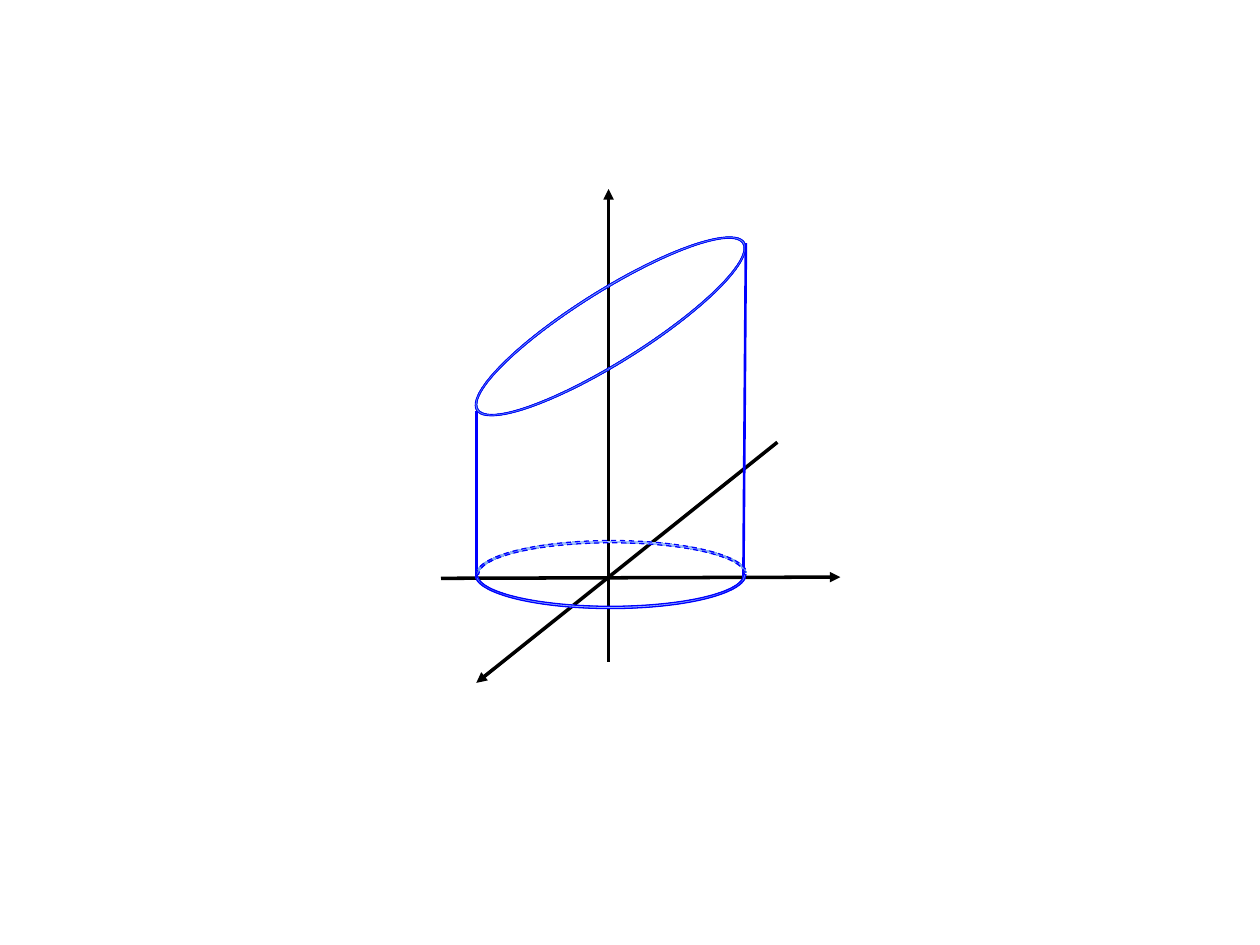
from dataclasses import dataclass

from lxml.etree import SubElement
from pptx import Presentation
from pptx.dml.color import RGBColor
from pptx.enum.dml import MSO_LINE
from pptx.enum.shapes import MSO_CONNECTOR, MSO_SHAPE
from pptx.oxml.ns import qn
from pptx.util import Inches, Pt

COLUMNS, ROWS = 1000, 750
COLORS = {
    "axis": "000000",
    "outline": "0000FF",
    "band_dark": "3F80CE",
    "band_light": "A4C4FF",
}

ORIGIN_X, ORIGIN_Y = 483, 459
LEFT_X, RIGHT_X = 378, 592
BASE_TOP, BASE_WIDTH, BASE_HEIGHT = 429, 215, 54
HALF_RING = (108, 215.363, 0.034)


@dataclass(frozen=True)
class Segment:
    start: tuple[int, int]
    end: tuple[int, int]
    color: str
    weight: float
    arrow: bool = False


@dataclass(frozen=True)
class Ring:
    preset: MSO_SHAPE
    left: int
    top: int
    width: int
    height: int
    adjustments: tuple[float, ...]
    weight: float
    rotation: float = 0
    dashed: bool = False


AXES = (
    Segment((ORIGIN_X, 525), (ORIGIN_X, 150), "axis", 2, True),
    Segment((350, ORIGIN_Y), (667, ORIGIN_Y - 1), "axis", 2, True),
    Segment((617, 351), (LEFT_X, 542), "axis", 2, True),
)
TILTED_TOP = Ring(MSO_SHAPE.DONUT, 359, 230, 251, 58, (0.027,), 0.5, rotation=327.9)
WALLS = (
    Segment((RIGHT_X, 193), (RIGHT_X - 2, ORIGIN_Y + 1), "outline", 1.5),
    Segment((LEFT_X, 326), (LEFT_X, ORIGIN_Y), "outline", 1.5),
)
BASE_FRONT = Ring(MSO_SHAPE.BLOCK_ARC, LEFT_X - 1, BASE_TOP, BASE_WIDTH, BASE_HEIGHT,
                  HALF_RING, 0.75, rotation=180)
BASE_BACK = Ring(MSO_SHAPE.BLOCK_ARC, LEFT_X, BASE_TOP, BASE_WIDTH, BASE_HEIGHT,
                 HALF_RING, 0.75, dashed=True)


def rgb(role: str) -> RGBColor:
    return RGBColor.from_string(COLORS[role])


def build(prs) -> None:
    slide = prs.slides.add_slide(prs.slide_layouts[6])

    def x(columns: int) -> int:
        return round(prs.slide_width * columns / COLUMNS)

    def y(rows: int) -> int:
        return round(prs.slide_height * rows / ROWS)

    def draw_segment(segment: Segment) -> None:
        (x1, y1), (x2, y2) = segment.start, segment.end
        connector = slide.shapes.add_connector(
            MSO_CONNECTOR.STRAIGHT, x(x1), y(y1), x(x2), y(y2))
        connector.line.color.rgb = rgb(segment.color)
        connector.line.width = Pt(segment.weight)
        if segment.arrow:
            SubElement(connector.line._get_or_add_ln(), qn("a:tailEnd"), type="triangle")
        SubElement(connector._element.spPr, qn("a:effectLst"))

    def draw_ring(ring: Ring) -> None:
        band = slide.shapes.add_shape(
            ring.preset, x(ring.left), y(ring.top), x(ring.width), y(ring.height))
        band.shadow.inherit = False
        band.rotation = ring.rotation
        for index, value in enumerate(ring.adjustments):
            band.adjustments[index] = value
        band.fill.gradient()
        band.fill.gradient_angle = 90
        for stop, role in zip(band.fill.gradient_stops, ("band_dark", "band_light")):
            stop.color.rgb = rgb(role)
        band.line.color.rgb = rgb("outline")
        band.line.width = Pt(ring.weight)
        if ring.dashed:
            band.line.dash_style = MSO_LINE.DASH

    for axis in AXES:
        draw_segment(axis)
    draw_ring(TILTED_TOP)
    for wall in WALLS:
        draw_segment(wall)
    for half in (BASE_FRONT, BASE_BACK):
        draw_ring(half)


def main() -> None:
    prs = Presentation()
    prs.slide_width, prs.slide_height = Inches(10), Inches(7.5)
    build(prs)
    prs.save("out.pptx")


if __name__ == "__main__":
    main()
